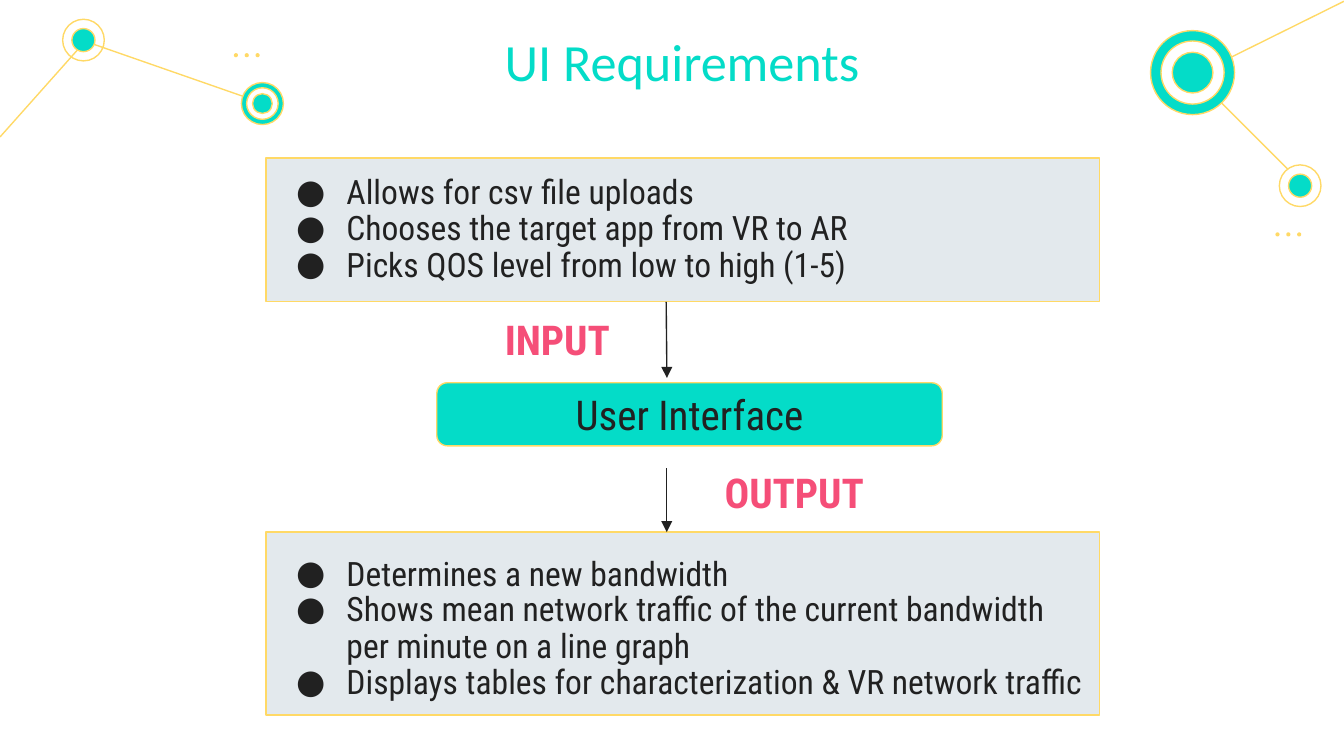
from lxml.etree import SubElement
from pptx import Presentation
from pptx.dml.color import RGBColor
from pptx.enum.shapes import MSO_CONNECTOR, MSO_SHAPE as SHAPE
from pptx.enum.text import MSO_ANCHOR as ANCHOR, PP_ALIGN as ALIGN
from pptx.oxml.ns import qn
from pptx.util import Pt

TEAL, GOLD, WHITE = "04DCC8", "FFD966", "FFFFFF"
INK, PALE, PINK = "212121", "E3E9ED", "F54E78"
CONDENSED = "Roboto Condensed"


def paint(fmt, color):
    """Give a fill a solid colour, or none."""
    if color:
        fmt.solid()
        fmt.fore_color.rgb = RGBColor.from_string(color)
    else:
        fmt.background()


def add_shape(s, kind, x, y, w, h, fill, line=GOLD):
    """Add a flat preset shape."""
    sp = s.shapes.add_shape(kind, Pt(x), Pt(y), Pt(w), Pt(h))
    sp.shadow.inherit = False
    paint(sp.fill, fill)
    paint(sp.line.fill, line)
    if line:
        sp.line.width = Pt(0.75)
    return sp


def add_line(s, x1, y1, x2, y2, color=GOLD, arrow=False):
    """Add a straight line, with an arrowhead at its end if asked."""
    cx = s.shapes.add_connector(MSO_CONNECTOR.STRAIGHT, Pt(x1), Pt(y1), Pt(x2), Pt(y2))
    paint(cx.line.fill, color)
    cx.line.width = Pt(0.75)
    if arrow:
        SubElement(cx.line._get_or_add_ln(), qn("a:tailEnd"), type="triangle")
    SubElement(cx._element.spPr, qn("a:effectLst"))


def add_bullet(p):
    """Give a paragraph a hanging round bullet."""
    pPr = p._p.get_or_add_pPr()
    pPr.set("marL", str(Pt(36)))
    pPr.set("indent", str(Pt(-27)))
    SubElement(SubElement(pPr, qn("a:buClr")), qn("a:srgbClr"), val=INK)
    SubElement(pPr, qn("a:buFont"), typeface=CONDENSED)
    SubElement(pPr, qn("a:buChar"), char="●")


def set_text(sp, *lines, size=22, font=CONDENSED, color=INK, bold=False,
             align=ALIGN.CENTER, anchor=ANCHOR.MIDDLE, spacing=(1,), bullets=False):
    """Fill a shape with paragraphs; the last spacing serves all later lines."""
    tf = sp.text_frame
    tf.word_wrap = True
    tf.vertical_anchor = anchor
    tf.margin_left = tf.margin_right = tf.margin_top = tf.margin_bottom = Pt(7.2)
    for i, line in enumerate(lines):
        p = tf.paragraphs[0] if i == 0 else tf.add_paragraph()
        if bullets:
            add_bullet(p)
        p.alignment = align
        p.line_spacing = spacing[min(i, len(spacing) - 1)]
        r = p.add_run()
        r.text = line
        r.font.size, r.font.name, r.font.bold = Pt(size), font, bold
        r.font.color.rgb = RGBColor.from_string(color)


def add_label(s, x, y, w, h, text, **fmt):
    """Add a text box with one line of text."""
    set_text(s.shapes.add_textbox(Pt(x), Pt(y), Pt(w), Pt(h)), text, anchor=ANCHOR.TOP, **fmt)


def add_panel(s, y, h, *lines, spacing):
    """Add a pale panel with a bulleted list."""
    sp = add_shape(s, SHAPE.RECTANGLE, 142.56, y, 446.4, h, PALE)
    set_text(sp, *lines, size=18, align=ALIGN.LEFT, spacing=spacing, bullets=True)


def add_node(s, cx, cy, *rings):
    """Add concentric circles, each given as diameter and fill."""
    for d, fill in rings:
        add_shape(s, SHAPE.OVAL, cx - d / 2, cy - d / 2, d, d, fill)


def add_dots(s, x, y):
    """Add a row of three small dots."""
    for i in range(3):
        add_shape(s, SHAPE.OVAL, x + i * 5.8, y, 2.2, 2.2, GOLD, None)


def add_network(s):
    """Draw the linked circles in the top corners."""
    for ends in ((696.5, 97.2, 638.9, 39.6), (46.1, 22.3, 141.1, 55.4),
                 (0, 73.4, 46.1, 21.6), (720, 0.7, 641.5, 39.6)):
        add_line(s, *ends)
    add_node(s, 44.7, 21.5, (22.3, None), (12.4, TEAL))
    add_node(s, 140.6, 55.5, (22.5, TEAL), (16.9, WHITE), (10.6, TEAL))
    add_node(s, 638.9, 38.9, (45, TEAL), (33.8, WHITE), (21.8, TEAL))
    add_node(s, 696.5, 99.5, (22.3, WHITE), (12.4, TEAL))
    add_dots(s, 125.3, 28.5)
    add_dots(s, 683.3, 124.5)


def main():
    """Build the slide and save it."""
    prs = Presentation()
    prs.slide_width, prs.slide_height = Pt(720), Pt(405)
    s = prs.slides.add_slide(prs.slide_layouts[6])
    add_network(s)
    add_label(s, 105.1, 8.6, 520.6, 43.2, "UI Requirements",
              size=28, font="Calibri", color=TEAL)
    add_panel(s, 84.7, 77, "Allows for csv file uploads",
              "Chooses the target app from VR to AR",
              "Picks QOS level from low to high (1-5)", spacing=(0.9,))
    add_panel(s, 285.1, 97.9, "Determines a new bandwidth",
              "Shows mean network traffic of the current bandwidth per minute on a line graph",
              "Displays tables for characterization & VR network traffic", spacing=(1.18, 0.9))
    add_line(s, 356.9, 161.7, 357.3, 202.5, INK, arrow=True)
    add_line(s, 357.2, 251, 357.2, 285.1, INK, arrow=True)
    for x, y, word in ((251.1, 164.2, "INPUT"), (378, 246.2, "OUTPUT")):
        add_label(s, x, y, 95, 38.9, word, color=PINK, bold=True, spacing=(0.9,))
    interface = add_shape(s, SHAPE.ROUNDED_RECTANGLE, 234, 205.1, 270.8, 33.8, TEAL)
    set_text(interface, "User Interface")
    prs.save("out.pptx")


if __name__ == "__main__":
    main()
